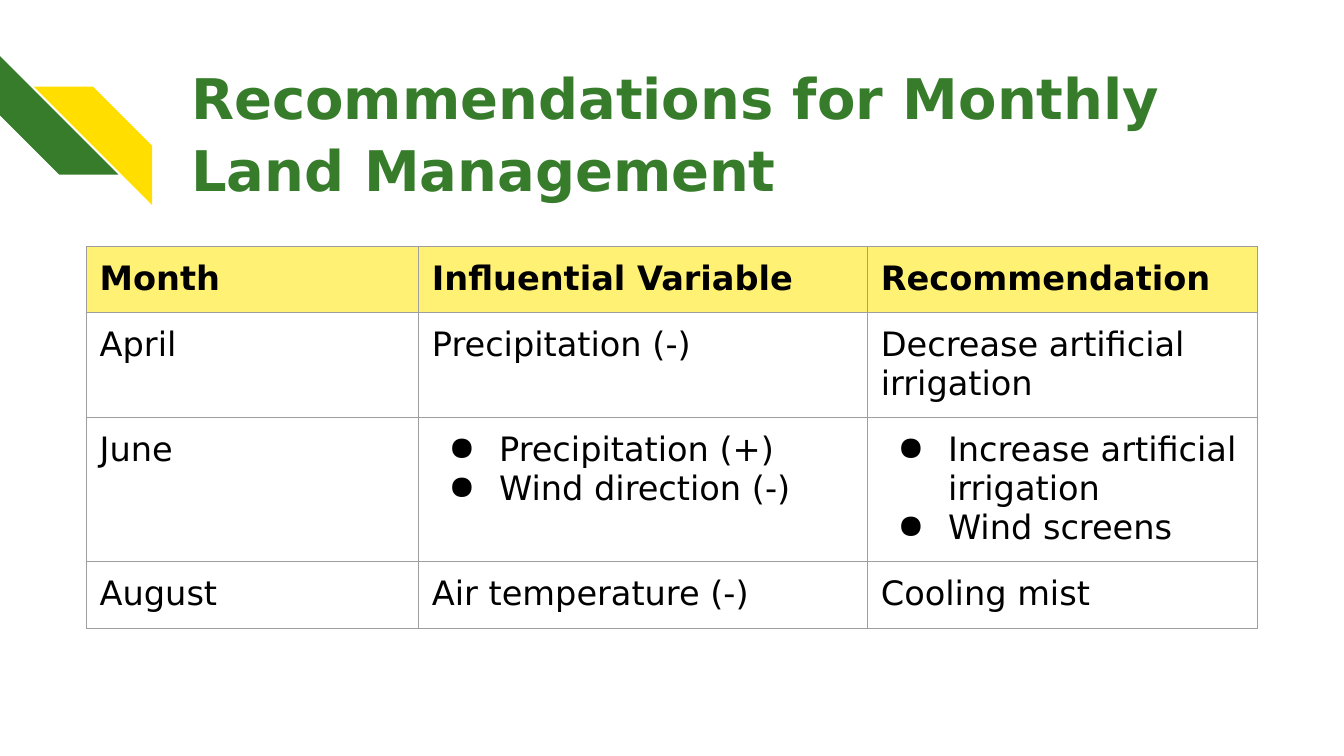
"""Build the slide of monthly land management recommendations."""
from lxml import etree
from pptx import Presentation
from pptx import util as u
from pptx.dml.color import RGBColor
from pptx.enum import shapes, text
from pptx.oxml.ns import qn

COLORS = {"green": "367C2B", "yellow": "FFDE00", "header": "FFF173",
          "border": "9E9E9E", "black": "000000"}
FONT = "DejaVu Sans"
ROWS = [
    ["Month", "Influential Variable", "Recommendation"],
    ["April", "Precipitation (-)", "Decrease artificial irrigation"],
    ["June", ["Precipitation (+)", "Wind direction (-)"],
     ["Increase artificial irrigation", "Wind screens"]],
    ["August", "Air temperature (-)", "Cooling mist"],
]
COLUMN_WIDTHS = [178, 240.5, 209]
ROW_HEIGHTS = [35, 56, 77, 36]


def style_paragraph(paragraph, size, color, bold):
    for run in paragraph.runs:
        run.font.name = FONT
        run.font.size = u.Pt(size)
        run.font.bold = bold
        run.font.color.rgb = RGBColor.from_string(COLORS[color])


def add_borders(cell):
    properties = cell._tc.get_or_add_tcPr()
    for index, side in enumerate(("lnL", "lnR", "lnT", "lnB")):
        line = etree.Element(qn(f"a:{side}"), w=str(u.Pt(0.75)))
        fill = etree.SubElement(line, qn("a:solidFill"))
        etree.SubElement(fill, qn("a:srgbClr"), val=COLORS["border"])
        properties.insert(index, line)


presentation = Presentation()
presentation.slide_width = u.Pt(720)
presentation.slide_height = u.Pt(405)
slide = presentation.slides.add_slide(presentation.slide_layouts[5])

for left, top, rotation, color in [(0, 30, 270, "green"), (18, 46.4, 90, "yellow")]:
    stripe = slide.shapes.add_shape(shapes.MSO_SHAPE.DIAGONAL_STRIPE,
                                    u.Pt(left), u.Pt(top), u.Pt(63.5), u.Pt(63.5))
    stripe.adjustments[0] = 0.5
    stripe.rotation = rotation
    stripe.shadow.inherit = False
    stripe.fill.solid()
    stripe.fill.fore_color.rgb = RGBColor.from_string(COLORS[color])
    stripe.line.fill.background()

title = slide.shapes.title
title.left, title.top, title.width, title.height = u.Pt(102.5), u.Pt(31), u.Pt(554), u.Pt(72)
frame = title.text_frame
frame.text = "Recommendations for Monthly Land Management"
frame.margin_left = frame.margin_top = frame.margin_right = frame.margin_bottom = 0
frame.word_wrap = True
frame.auto_size = text.MSO_AUTO_SIZE.NONE
frame.vertical_anchor = text.MSO_ANCHOR.TOP
frame.paragraphs[0].alignment = text.PP_ALIGN.LEFT
frame.paragraphs[0].line_spacing = 1.08
style_paragraph(frame.paragraphs[0], 30, "green", True)

table = slide.shapes.add_table(len(ROWS), len(COLUMN_WIDTHS), u.Pt(46.2), u.Pt(132),
                               u.Pt(sum(COLUMN_WIDTHS)), u.Pt(sum(ROW_HEIGHTS))).table
table.horz_banding = False
for column, width in zip(table.columns, COLUMN_WIDTHS):
    column.width = u.Pt(width)
for row, height in zip(table.rows, ROW_HEIGHTS):
    row.height = u.Pt(height)

for row_index, row in enumerate(ROWS):
    for column_index, content in enumerate(row):
        cell = table.cell(row_index, column_index)
        cell.margin_left = cell.margin_top = cell.margin_right = cell.margin_bottom = u.Pt(7.2)
        if row_index == 0:
            cell.fill.solid()
            cell.fill.fore_color.rgb = RGBColor.from_string(COLORS["header"])
        else:
            cell.fill.background()
        add_borders(cell)
        bulleted = isinstance(content, list)
        cell.text_frame.text = "\n".join(content) if bulleted else content
        for paragraph in cell.text_frame.paragraphs:
            if bulleted:
                properties = paragraph._p.get_or_add_pPr()
                properties.set("marL", str(u.Pt(36)))
                properties.set("indent", str(u.Pt(-27)))
                bullet_color = etree.SubElement(properties, qn("a:buClr"))
                etree.SubElement(bullet_color, qn("a:srgbClr"), val=COLORS["black"])
                etree.SubElement(properties, qn("a:buChar"), char="●")
            style_paragraph(paragraph, 18, "black", row_index == 0)

presentation.save("out.pptx")
